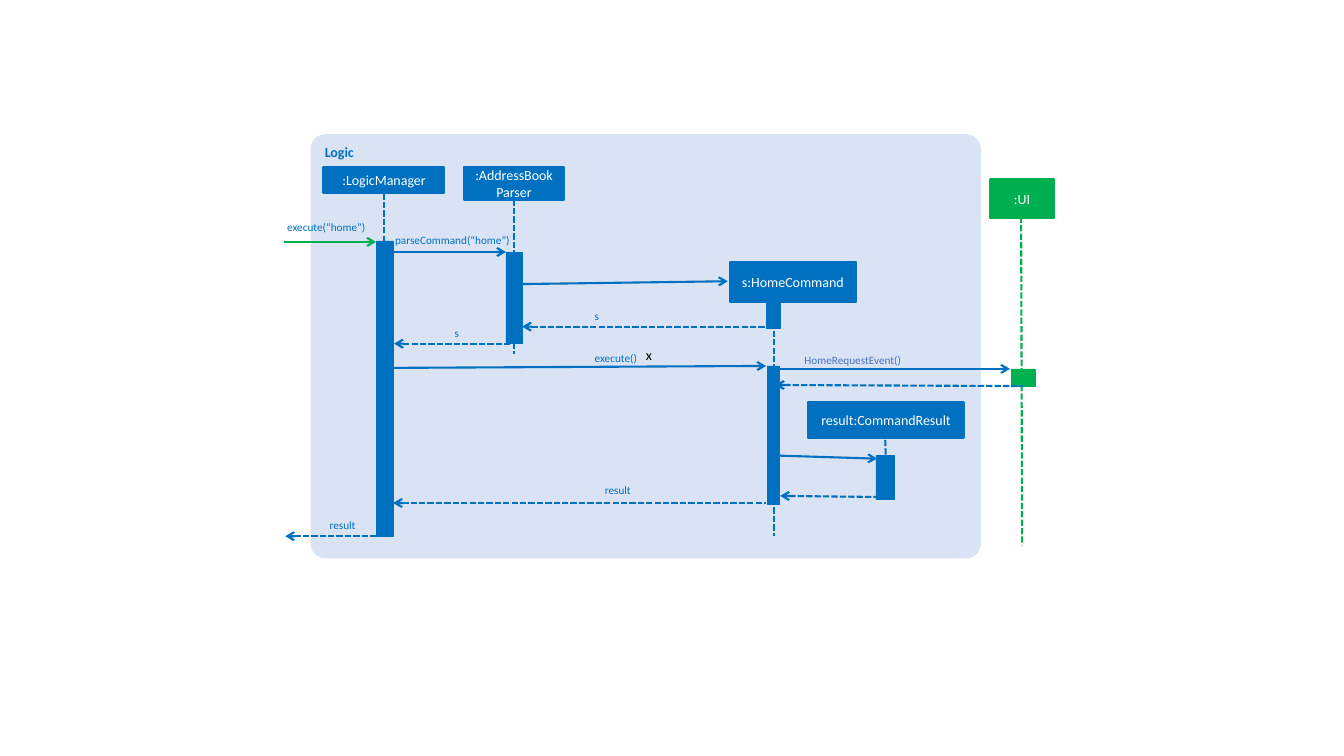
import lxml.etree
import pptx
import pptx.dml.color
import pptx.enum.dml
import pptx.enum.shapes
import pptx.enum.text
import pptx.oxml.ns
import pptx.util

Pt = pptx.util.Pt
qn = pptx.oxml.ns.qn
KIND = pptx.enum.shapes.MSO_SHAPE
TEXT = pptx.enum.text
BLUE, GREEN, WHITE = "0070C0", "00B050", "FFFFFF"


def color(code):
    return pptx.dml.color.RGBColor.from_string(code)


def apply(target, values):
    for name, value in values.items():
        setattr(target, name, value)


class Board:
    font = {"name": "Calibri", "size": Pt(10), "bold": False}
    small = {"size": Pt(8)}
    stroke = 1.5

    def __init__(self, slide):
        self.shapes = slide.shapes

    def words(self, shape, text, tint, align=TEXT.PP_ALIGN.LEFT, **style):
        part = shape.text_frame.paragraphs[0]
        part.alignment = align
        run = part.add_run()
        run.text = text
        apply(run.font, {**self.font, **style})
        run.font.color.rgb = color(tint)

    def block(self, x, y, w, h, tint, edge=None, kind=KIND.RECTANGLE):
        shape = self.shapes.add_shape(kind, Pt(x), Pt(y), Pt(w), Pt(h))
        shape.shadow.inherit = False
        shape.fill.solid()
        shape.fill.fore_color.rgb = color(tint)
        if edge:
            shape.line.color.rgb = color(tint)
            shape.line.width = Pt(edge)
        else:
            shape.line.fill.background()
        return shape

    def panel(self, x, y, w, h, text):
        shape = self.block(x, y, w, h, "DAE3F3", kind=KIND.ROUNDED_RECTANGLE)
        shape.adjustments[0] = 0.035
        shape.text_frame.vertical_anchor = TEXT.MSO_ANCHOR.TOP
        self.words(shape, text, BLUE, bold=True)

    def actor(self, x, y, w, h, text, tint=BLUE):
        shape = self.block(x, y, w, h, tint, self.stroke)
        shape.text_frame.word_wrap = True
        shape.text_frame.vertical_anchor = TEXT.MSO_ANCHOR.MIDDLE
        self.words(shape, text, WHITE, TEXT.PP_ALIGN.CENTER)

    def bar(self, x, y, w, h, tint=BLUE):
        self.block(x, y, w, h, tint, 0.5)

    def line(self, x1, y1, x2, y2, tint=BLUE, dash=True, tip=None):
        link = self.shapes.add_connector(
            pptx.enum.shapes.MSO_CONNECTOR.STRAIGHT, Pt(x1), Pt(y1), Pt(x2), Pt(y2))
        link.line.color.rgb = color(tint)
        link.line.width = Pt(self.stroke)
        if dash:
            link.line.dash_style = pptx.enum.dml.MSO_LINE.SQUARE_DOT
        props = link.element.spPr
        if tip:
            lxml.etree.SubElement(props.find(qn("a:ln")), qn(tip), type="arrow")
        lxml.etree.SubElement(props, qn("a:effectLst"))

    def call(self, x1, y1, x2, y2, tint=BLUE):
        self.line(x1, y1, x2, y2, tint, dash=False, tip="a:tailEnd")

    def reply(self, x1, y1, x2, y2):
        self.line(x1, y1, x2, y2, tip="a:headEnd")

    def label(self, x, y, w, h, text, tint=BLUE, pad=0, style=None):
        box = self.shapes.add_textbox(Pt(x), Pt(y), Pt(w), Pt(h))
        apply(box.text_frame, {
            "word_wrap": True, "auto_size": TEXT.MSO_AUTO_SIZE.SHAPE_TO_FIT_TEXT,
            "margin_left": Pt(pad), "margin_right": 0,
            "margin_top": Pt(pad / 2), "margin_bottom": Pt(pad / 2)})
        self.words(box, text, tint, **(self.small if style is None else style))


def main():
    deck = pptx.Presentation()
    deck.slide_width, deck.slide_height = Pt(960), Pt(540)
    board = Board(deck.slides.add_slide(deck.slide_layouts[6]))

    board.panel(221.8, 95.8, 478.8, 303.1, "Logic")

    # Lifelines
    for life in (
        (274.3, 138.2, 274.3, 365),
        (367.2, 142.6, 367.2, 252.7),
        (553, 218.2, 553, 383),
        (632.2, 308.2, 632.9, 333.4),
        (729.4, 154.8, 730.1, 389.5, GREEN),
    ):
        board.line(*life)

    # Participants
    for actor in (
        (231.1, 119.5, 86.4, 18.7, ":LogicManager"),
        (331.2, 119.5, 72, 23, ":AddressBookParser"),
        (521.3, 187.2, 90, 28.8, "s:HomeCommand"),
        (577.4, 287.3, 110.9, 25.9, "result:CommandResult"),
        (707, 128.2, 46.1, 27.4, ":UI", GREEN),
    ):
        board.actor(*actor)

    # Activation bars
    for bar in (
        (268.6, 172.1, 12.2, 211),
        (361.4, 180, 11.5, 65.5),
        (547.2, 216.7, 10.1, 18),
        (547.9, 261.4, 8.6, 98.6),
        (625.7, 325.4, 13, 31),
        (722.2, 263.5, 17.3, 12.2, GREEN),
    ):
        board.bar(*bar)

    # Calls
    for call in (
        (203, 172.8, 268.6, 172.8, GREEN),
        (280.8, 180, 361.4, 180),
        (367.2, 203, 519.8, 200.9),
        (275.8, 262.8, 547.2, 261.4),
        (557.3, 263.5, 721.4, 263.5),
        (554.4, 325.4, 626.4, 327.6),
    ):
        board.call(*call)

    # Replies, with the arrowhead at the first point
    for reply in (
        (373, 233.3, 547.9, 233.3),
        (281.5, 245.5, 367.2, 245.5),
        (553.7, 275, 730.8, 275.8),
        (557.3, 354.2, 625.7, 355),
        (280.8, 359.3, 547.2, 359.3),
        (203.8, 383, 268.6, 383),
    ):
        board.reply(*reply)

    # Message labels
    for x, y, w, text, tint in (
        (205.2, 157.7, 69.8, "execute(“home”)", BLUE),
        (282.2, 167, 82.8, "parseCommand(“home”)", BLUE),
        (424.8, 221, 56.2, "s", BLUE),
        (324.7, 233.3, 6.5, "s", BLUE),
        (424.8, 250.6, 56.2, "execute()", BLUE),
        (574.6, 252.7, 101.5, "HomeRequestEvent()", "4472C4"),
        (432, 345.6, 56.2, "result", BLUE),
        (235.4, 370.1, 56.2, "result", BLUE),
    ):
        board.label(x, y, w, 9.4, text, tint)
    board.label(454.3, 244.1, 14.4, 19.4, "x", "000000", pad=7.2, style={})

    deck.save("out.pptx")


if __name__ == "__main__":
    main()
